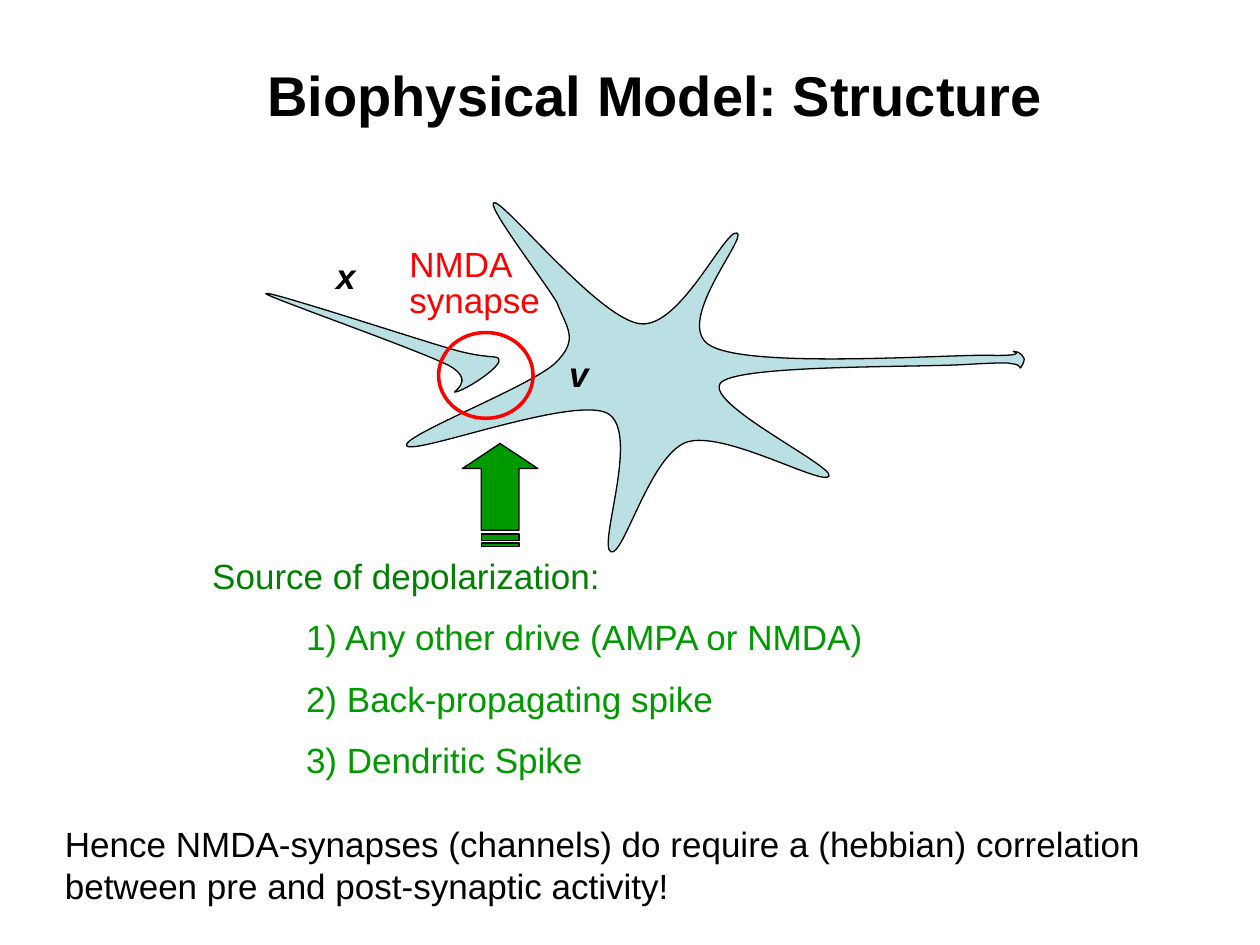
from dataclasses import dataclass

from lxml.etree import SubElement
from pptx import Presentation
from pptx.dml.color import RGBColor
from pptx.enum.shapes import MSO_SHAPE
from pptx.enum.text import MSO_ANCHOR, MSO_AUTO_SIZE, PP_ALIGN
from pptx.oxml.ns import qn
from pptx.util import Pt


@dataclass(frozen=True)
class Theme:
    """Colours, font and type sizes of the slide."""
    font: str = "Arial"
    title: float = 32
    body: float = 20
    gap: float = 11
    ink: RGBColor = RGBColor(0, 0, 0)
    cell: RGBColor = RGBColor(0xBB, 0xE0, 0xE3)
    alert: RGBColor = RGBColor(0xFF, 0, 0)
    source: RGBColor = RGBColor(0, 0x80, 0)
    drive: RGBColor = RGBColor(0, 0x99, 0)


THEME = Theme()
CELL_UNITS = 620
AXON = [
    (162, 161), (169, 160), (197, 142), (196, 136), (196, 131), (189, 136), (158, 127),
    (127, 118), (11, 80), (11, 83), (10, 85), (130, 127), (156, 140),
    (180, 153), (155, 163), (162, 161),
]
NEURON = [
    (242, 90), (250, 111), (260, 119), (241, 138), (221, 157), (116, 197), (123, 204),
    (130, 211), (255, 164), (282, 178), (309, 192), (274, 284), (285, 288),
    (295, 292), (316, 211), (345, 201), (374, 191), (453, 236), (458, 228),
    (463, 220), (354, 168), (373, 153), (392, 139), (533, 142), (572, 139),
    (611, 137), (599, 139), (605, 139), (611, 140), (609, 143), (610, 142),
    (611, 141), (613, 137), (613, 135), (612, 133), (610, 129), (605, 129),
    (600, 128), (622, 133), (582, 132), (542, 132), (398, 142), (365, 125),
    (332, 109), (394, 38), (385, 35), (375, 32), (340, 111), (308, 107),
    (276, 103), (204, 14), (193, 11), (182, 8), (232, 73), (242, 90),
]


def add_text(s, box, lines, color=THEME.ink, size=THEME.body, bold=False, italic=False,
             wrap=True, spacing=None, before=0, align=PP_ALIGN.LEFT):
    """Place a text box with one paragraph per line."""
    tf = s.shapes.add_textbox(*map(Pt, box)).text_frame
    tf.word_wrap = wrap
    tf.auto_size = MSO_AUTO_SIZE.SHAPE_TO_FIT_TEXT
    for i, line in enumerate(lines):
        p = tf.add_paragraph() if i else tf.paragraphs[0]
        p.alignment = align
        p.space_before = Pt(before)
        if spacing:
            p.line_spacing = spacing
        r = p.add_run()
        r.text = line
        r.font.name, r.font.size = THEME.font, Pt(size)
        r.font.bold, r.font.italic = bold, italic
        r.font.color.rgb = color
    return tf


def add_outline(s, left, top, contours, fill, scale=1.0):
    """Draw closed contours, given in units of scale points, as one freeform."""
    paths = [[(Pt(left + x * scale), Pt(top + y * scale)) for x, y in c] for c in contours]
    fb = s.shapes.build_freeform(*paths[0][0])
    for i, pts in enumerate(paths):
        if i:
            fb.move_to(*pts[0])
        fb.add_line_segments(pts[1:], close=True)
    sp = fb.convert_to_shape()
    sp.shadow.inherit = False
    sp.fill.solid()
    sp.fill.fore_color.rgb = fill
    sp.line.color.rgb = THEME.ink
    sp.line.width = Pt(0.75)
    return sp


def bend(sp):
    """Turn each three line segments of a freeform into one Bezier curve."""
    for path in sp._element.iter(qn("a:path")):
        segments = path.findall(qn("a:lnTo"))
        close = path.find(qn("a:close"))
        for i in range(0, len(segments), 3):
            curve = SubElement(path, qn("a:cubicBezTo"))
            for segment in segments[i:i + 3]:
                curve.append(segment[0])
                path.remove(segment)
        path.append(close)


def add_title(s, box):
    """Place the slide title, centred in its box."""
    tf = add_text(s, box, ["Biophysical Model: Structure"], size=THEME.title, bold=True,
                  align=PP_ALIGN.CENTER)
    tf.auto_size = MSO_AUTO_SIZE.NONE
    tf.vertical_anchor = MSO_ANCHOR.MIDDLE


def add_cells(s, box):
    """Draw the axon, the neuron, the synapse ring and their labels."""
    left, top, width, _ = box
    add_text(s, (left + 41, top + 34, 26, 31), ["x"], bold=True, italic=True, wrap=False)
    add_text(s, (left + 82.8, top + 39.6, 99.4, 38.2), ["NMDA", "synapse"], THEME.alert,
             spacing=0.4, before=THEME.gap)
    for outline in (AXON, NEURON):
        bend(add_outline(s, left, top, [outline], THEME.cell, width / CELL_UNITS))
    ring = s.shapes.add_shape(MSO_SHAPE.OVAL, Pt(left + 106.6), Pt(top + 82), Pt(54), Pt(49))
    ring.shadow.inherit = False
    ring.fill.background()
    ring.line.color.rgb = THEME.alert
    ring.line.width = Pt(2)
    add_text(s, (left + 174.2, top + 90, 26, 31), ["v"], bold=True, italic=True, wrap=False)


def add_arrow(s, box):
    """Draw the striped arrow pointing up, filling its box."""
    left, top, w, h = box
    inner, outer, head, foot = w / 4, w * 3 / 4, 14.4, h - 9.3
    arrow = [(0, head), (inner, head), (inner, foot), (outer, foot), (outer, head),
             (w, head), (w / 2, 0)]
    stripes = [[(inner, b), (outer, b), (outer, a), (inner, a)]
               for a, b in ((h - 7.2, h - 3.6), (h - 2.1, h))]
    add_outline(s, left, top, [arrow, *stripes], THEME.drive)


def add_sources(s, box):
    """Place the heading and the list of depolarization sources."""
    left, top, width, _ = box
    add_text(s, (left, top, 294, 16.6), ["Source of depolarization:"], THEME.source,
             spacing=0.4, before=THEME.gap)
    add_text(s, (left + 53.6, top + 23, width - 53.6, 104.4),
             ["1) Any other drive (AMPA or NMDA)", "2) Back-propagating spike",
              "3) Dendritic Spike"], THEME.drive, before=THEME.gap)


def add_conclusion(s, box):
    """Place the closing statement."""
    add_text(s, box, ["Hence NMDA-synapses (channels) do require a (hebbian) correlation "
                      "between pre and post-synaptic activity!"], before=THEME.gap)


def main():
    """Build the slide and save it."""
    prs = Presentation()
    prs.slide_width, prs.slide_height = Pt(720), Pt(540)
    s = prs.slides.add_slide(prs.slide_layouts[6])
    add_title(s, (84, 30, 581, 48))
    add_cells(s, (144, 108, 446.4, 211))
    add_arrow(s, (264.2, 253.4, 43.2, 59))
    add_sources(s, (114.2, 325.4, 413.6, 127.4))
    add_conclusion(s, (30, 466.6, 648, 55.4))
    prs.save("out.pptx")


if __name__ == "__main__":
    main()
